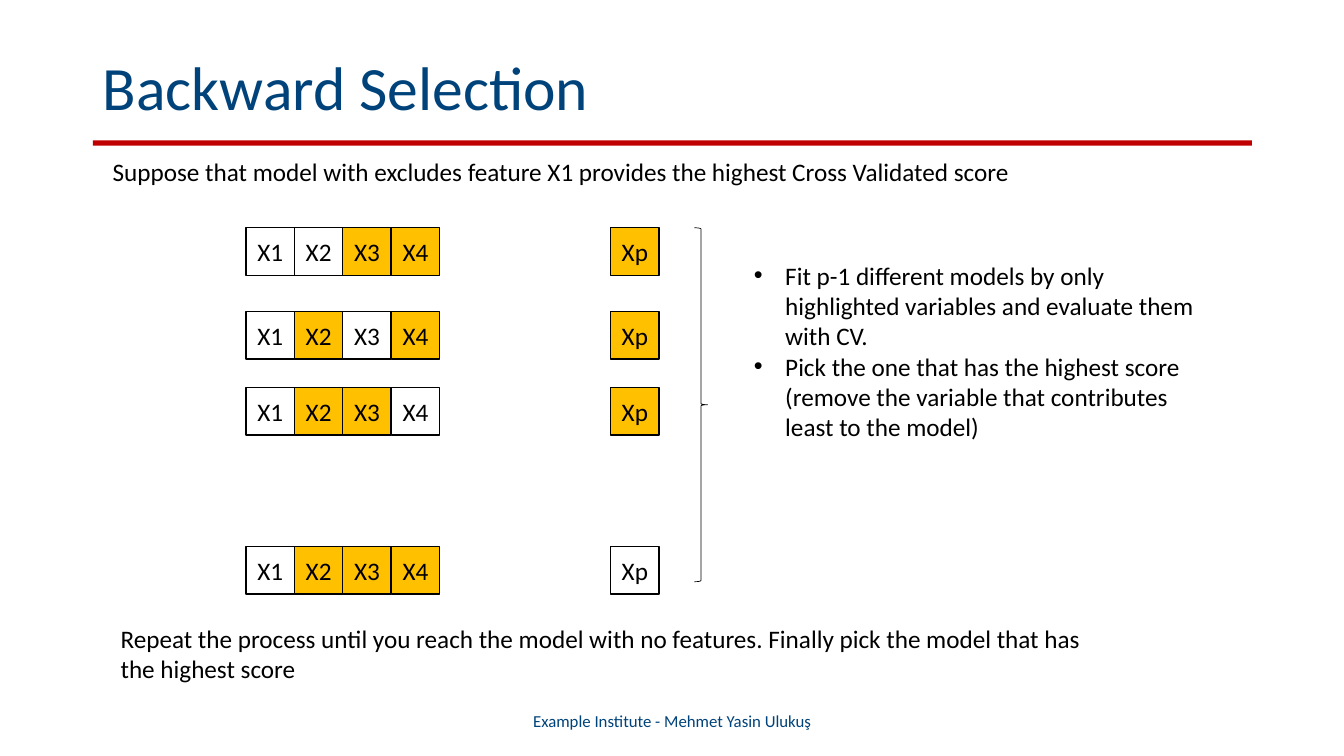
from dataclasses import dataclass
from typing import Optional

from lxml.etree import SubElement
from pptx import Presentation as Deck
from pptx.dml.color import RGBColor as RGB
from pptx.enum.shapes import MSO_SHAPE as Kind
from pptx.enum.text import MSO_ANCHOR as Anchor, PP_ALIGN as Align
from pptx.oxml.ns import qn
from pptx.util import Cm, Pt

FONT = "Calibri"
NAVY = RGB(0x00, 0x43, 0x7A)
RED = RGB(0xC0, 0x00, 0x00)
GOLD = RGB(0xFF, 0xC0, 0x00)
BLACK = RGB(0x00, 0x00, 0x00)

CELL_W, CELL_H = 1.22, 1.2
LEFTS = {f"X{n + 1}": 6.2 + n * CELL_W for n in range(4)} | {"Xp": 15.39}


@dataclass(frozen=True)
class Box:
    left: float
    top: float
    width: float
    height: float

    def sides(self) -> tuple:
        return Cm(self.left), Cm(self.top), Cm(self.width), Cm(self.height)


@dataclass(frozen=True)
class Model:
    top: float
    dropped: str


@dataclass(frozen=True)
class Note:
    box: Box
    lines: tuple
    size: int = 18
    color: RGB = BLACK
    align: Align = Align.LEFT
    anchor: Anchor = Anchor.TOP
    bullet: bool = False


MODELS = (Model(5.74, "X2"), Model(7.85, "X3"), Model(9.76, "X4"), Model(13.77, "Xp"))

NOTES = (
    Note(Box(2.59, 3.81, 25.65, 1.02),
         ("Suppose that model with excludes feature X1 provides the highest Cross Validated score",)),
    Note(Box(18.75, 6.43, 12.14, 4.88),
         ("Fit p-1 different models by only highlighted variables and evaluate them with CV.",
          "Pick the one that has the highest score (remove the variable that contributes least to the model)"),
         bullet=True),
    Note(Box(2.79, 15.57, 25.65, 1.8),
         ("Repeat the process until you reach the model with no features. "
          "Finally pick the model that has the highest score",)),
    Note(Box(11.23, 17.65, 11.43, 1.02), ("Example Institute - Mehmet Yasin Ulukuş",),
         size=12, color=NAVY, align=Align.CENTER, anchor=Anchor.MIDDLE),
)


def write(frame, *lines: str, size: int = 18, color: RGB = BLACK, align: Align = Align.LEFT,
          anchor: Anchor = Anchor.TOP, wrap: bool = True, bullet: bool = False,
          space: Optional[float] = None) -> None:
    frame.word_wrap = wrap
    frame.vertical_anchor = anchor
    for num, line in enumerate(lines):
        para = frame.add_paragraph() if num else frame.paragraphs[0]
        para.alignment = align
        if space:
            para.line_spacing = space
        run = para.add_run()
        run.text = line
        run.font.name = FONT
        run.font.size = Pt(size)
        run.font.color.rgb = color
        if bullet:
            props = para._p.get_or_add_pPr()
            props.set("marL", str(Cm(0.79)))
            props.set("indent", str(-Cm(0.79)))
            SubElement(props, qn("a:buFont")).set("typeface", "Arial")
            SubElement(props, qn("a:buChar")).set("char", "•")


def draw(slide, kind: Kind, box: Box, fill: Optional[RGB] = None,
         line: Optional[float] = None):
    shape = slide.shapes.add_shape(kind, *box.sides())
    shape.shadow.inherit = False
    if fill is None:
        shape.fill.background()
    else:
        shape.fill.solid()
        shape.fill.fore_color.rgb = fill
    if line is None:
        shape.line.fill.background()
    else:
        shape.line.color.rgb = BLACK
        shape.line.width = Pt(line)
    return shape


def add_model(slide, model: Model) -> None:
    for name, left in LEFTS.items():
        fill = None if name in ("X1", model.dropped) else GOLD
        cell = draw(slide, Kind.RECTANGLE, Box(left, model.top, CELL_W, CELL_H), fill, 1)
        write(cell.text_frame, name, align=Align.CENTER, anchor=Anchor.MIDDLE, wrap=False)


def add_note(slide, note: Note) -> None:
    frame = slide.shapes.add_textbox(*note.box.sides()).text_frame
    write(frame, *note.lines, size=note.size, color=note.color, align=note.align,
          anchor=note.anchor, bullet=note.bullet)


def add_title(slide, text: str) -> None:
    title = slide.shapes.title
    title.left, title.top, title.width, title.height = Box(2.34, 1.02, 29.21, 2.51).sides()
    write(title.text_frame, text, size=44, color=NAVY, anchor=Anchor.MIDDLE, space=0.9)


def main() -> None:
    deck = Deck()
    deck.slide_width, deck.slide_height = Cm(33.87), Cm(19.05)
    slide = deck.slides.add_slide(deck.slide_layouts[5])
    add_title(slide, "Backward Selection")
    draw(slide, Kind.RECTANGLE, Box(2.34, 3.54, 29.21, 0.13), RED)
    draw(slide, Kind.RIGHT_BRACE, Box(17.5, 5.74, 0.33, 8.92), line=0.5)
    for model in MODELS:
        add_model(slide, model)
    for note in NOTES:
        add_note(slide, note)
    deck.save("out.pptx")


main()
